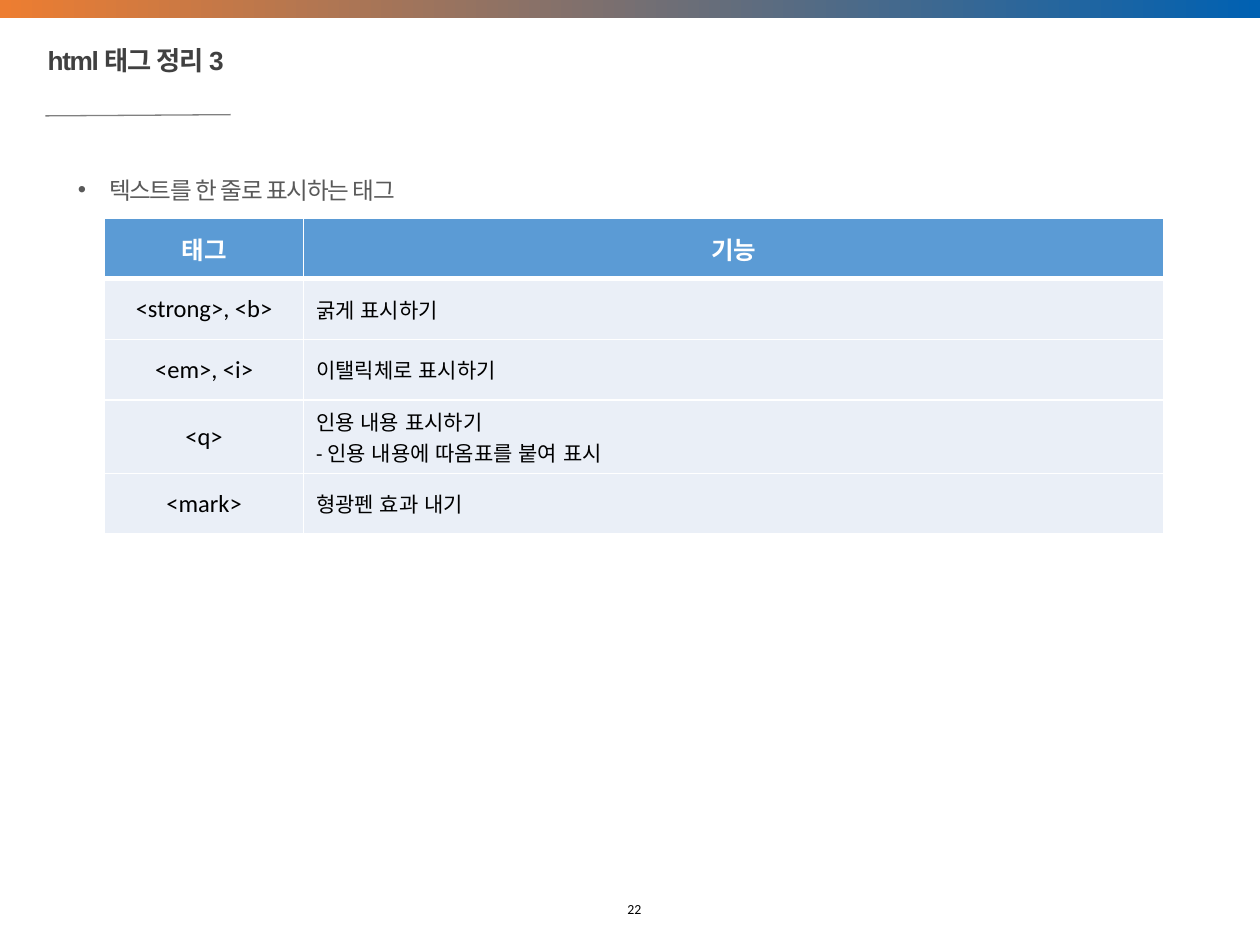
from dataclasses import dataclass
from lxml.etree import SubElement
from pptx import Presentation
from pptx.dml.color import RGBColor
from pptx.enum.lang import MSO_LANGUAGE_ID
from pptx.enum.shapes import MSO_CONNECTOR, MSO_SHAPE
from pptx.enum.text import MSO_ANCHOR, PP_ALIGN
from pptx.oxml.ns import qn
from pptx.util import Inches, Pt


@dataclass(frozen=True)
class Theme:
    head: str = "Arial"
    body: str = "Calibri"
    white: str = "FFFFFF"
    black: str = "000000"
    title: str = "404040"
    text: str = "595959"
    rule: str = "808080"
    blue: str = "5B9BD5"
    pale: str = "EAEFF7"
    left: str = "ED7D31"
    right: str = "0061B2"
    big: float = 15
    mid: float = 14
    point: float = 13.5
    small: float = 12
    tiny: float = 7.9


theme = Theme()
ROWS = [
    ("태그", "기능"),
    ("<strong>, <b>", "굵게 표시하기"),
    ("<em>, <i>", "이탤릭체로 표시하기"),
    ("<q>", "인용 내용 표시하기\n- 인용 내용에 따옴표를 붙여 표시"),
    ("<mark>", "형광펜 효과 내기"),
]


def rgb(code):
    return RGBColor.from_string(code)


def style(para, face, size, color, bold=False, track=0):
    for run in para.runs:
        font = run.font
        font.name, font.size, font.bold = face, Pt(size), bold
        font.color.rgb = rgb(color)
        font.language_id = MSO_LANGUAGE_ID.KOREAN
        if track:
            run._r.get_or_add_rPr().set("spc", str(track))


def add_text(slide, box, text):
    frame = slide.shapes.add_textbox(*map(Inches, box)).text_frame
    frame.word_wrap = True
    frame.text = text
    return frame.paragraphs[0]


def add_band(slide, box):
    band = slide.shapes.add_shape(MSO_SHAPE.RECTANGLE, *map(Inches, box))
    band.shadow.inherit = False
    band.line.fill.background()
    band.fill.gradient()
    band.fill.gradient_angle = 0
    for stop, color in zip(band.fill.gradient_stops, (theme.left, theme.right)):
        stop.color.rgb = rgb(color)


def add_title(slide, box, text):
    left, top, width, height = box
    para = add_text(slide, box, text)
    para.line_spacing = 0.9
    style(para, theme.head, theme.big, theme.title, True, -80)
    start = left + 0.08
    rule = slide.shapes.add_connector(
        MSO_CONNECTOR.STRAIGHT, Inches(start), Inches(top + 0.59),
        Inches(start + 1.47), Inches(top + 0.58))
    rule.line.color.rgb = rgb(theme.rule)
    rule.line.width = Pt(0.75)
    SubElement(rule._element.spPr, qn("a:effectLst"))


def add_point(slide, box, text):
    para = add_text(slide, box, text)
    para.line_spacing = 1.25
    props = para._p.get_or_add_pPr()
    props.set("marL", str(Inches(0.25)))
    props.set("indent", str(Inches(-0.25)))
    SubElement(props, qn("a:buFont"), typeface="Arial")
    SubElement(props, qn("a:buChar"), char="•")
    style(para, theme.head, theme.point, theme.text, track=-80)


def add_edges(cell, top, bottom):
    props = cell._tc.get_or_add_tcPr()
    for side, width in zip("LRTB", (1, 1, top, bottom)):
        line = SubElement(props, qn(f"a:ln{side}"), w=str(Pt(width)))
        fill = SubElement(line, qn("a:solidFill"))
        SubElement(fill, qn("a:srgbClr"), val=theme.white)


def fill_cell(cell, text, row, col):
    head = row == 0
    add_edges(cell, 3 if row == 1 else 1, 3 if head else 1)
    cell.fill.solid()
    cell.fill.fore_color.rgb = rgb(theme.blue if head else theme.pale)
    cell.vertical_anchor = MSO_ANCHOR.MIDDLE
    cell.text_frame.text = text
    mid = head or col == 0
    for para in cell.text_frame.paragraphs:
        para.alignment = PP_ALIGN.CENTER if mid else PP_ALIGN.LEFT
        style(para, theme.body, theme.mid if mid else theme.small,
              theme.white if head else theme.black, head)


def add_grid(slide, box, rows):
    width, height = box[2:]
    table = slide.shapes.add_table(
        len(rows), len(rows[0]), *map(Inches, box)).table
    first, extra = 1.58, 0.1
    for col, span in zip(table.columns, (first, width - first)):
        col.width = Inches(span)
    breaks = [row[1].count("\n") for row in rows]
    base = (height - extra * sum(breaks)) / len(rows)
    for i, row in enumerate(rows):
        table.rows[i].height = Inches(base + extra * breaks[i])
        for j, text in enumerate(row):
            fill_cell(table.cell(i, j), text, i, j)


def add_page(slide, box, text):
    para = add_text(slide, box, text)
    para.alignment = PP_ALIGN.CENTER
    style(para, theme.body, theme.tiny, theme.black)


def main():
    deck = Presentation()
    deck.slide_width, deck.slide_height = Inches(10), Inches(7.5)
    slide = deck.slides.add_slide(deck.slide_layouts[6])
    add_band(slide, (0, 0, 10, 0.14))
    add_title(slide, (0.28, 0.33, 5.52, 0.45), "html 태그 정리 3")
    add_point(slide, (0.52, 1.29, 9.03, 5.6), "텍스트를 한 줄로 표시하는 태그")
    add_page(slide, (3.91, 7.1, 2.25, 0.4), "22")
    add_grid(slide, (0.83, 1.73, 8.41, 2.51), ROWS)
    deck.save("out.pptx")


if __name__ == "__main__":
    main()
